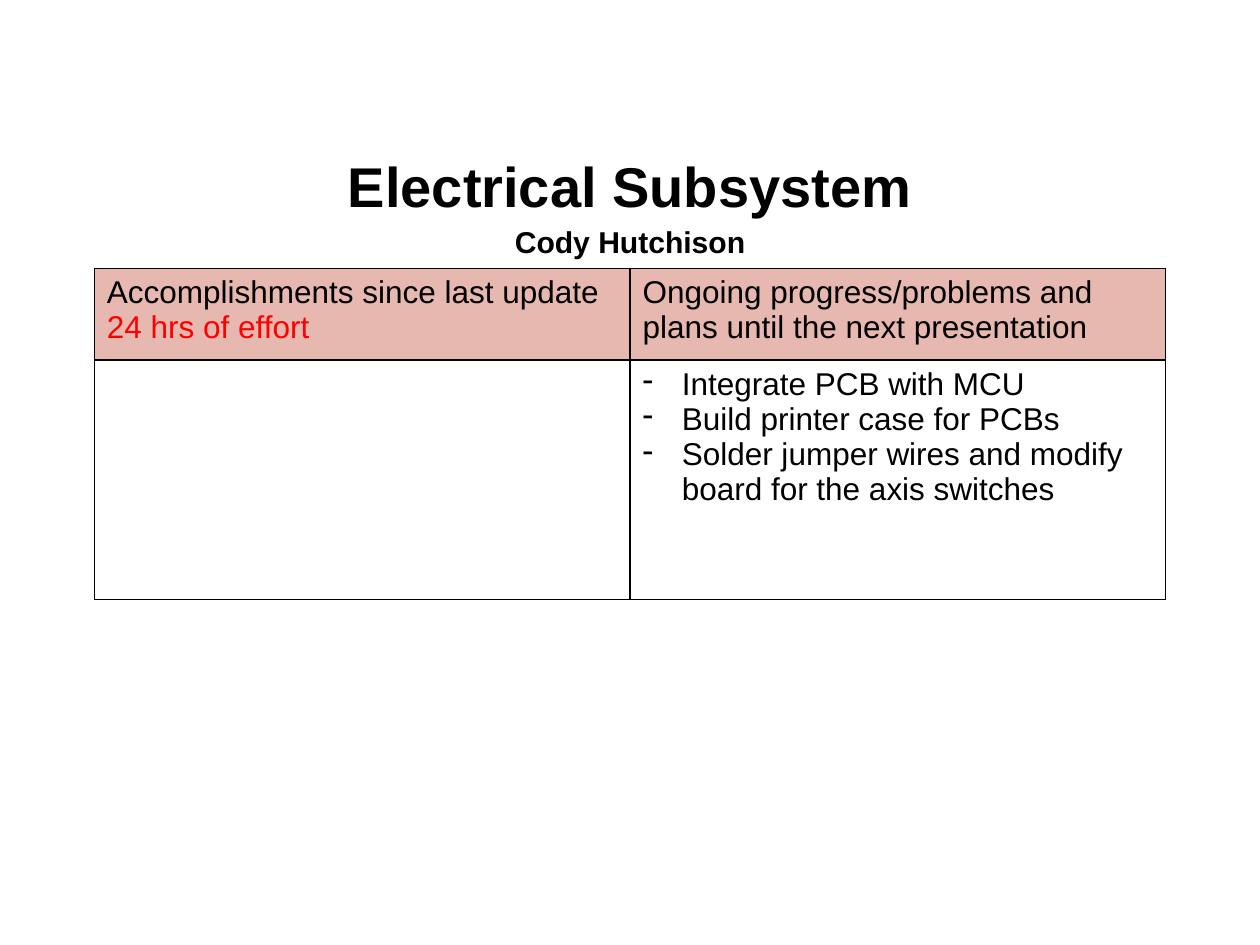
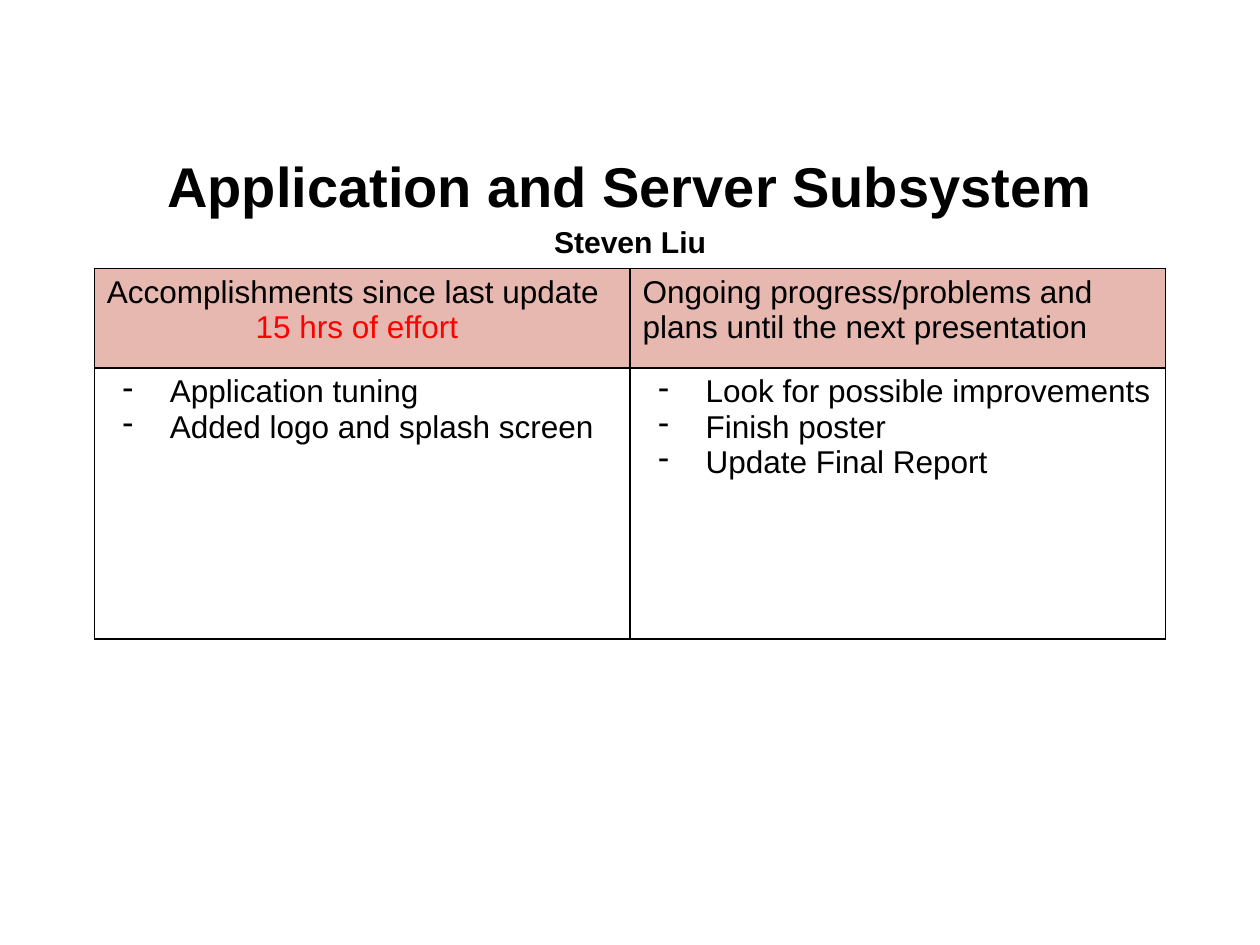
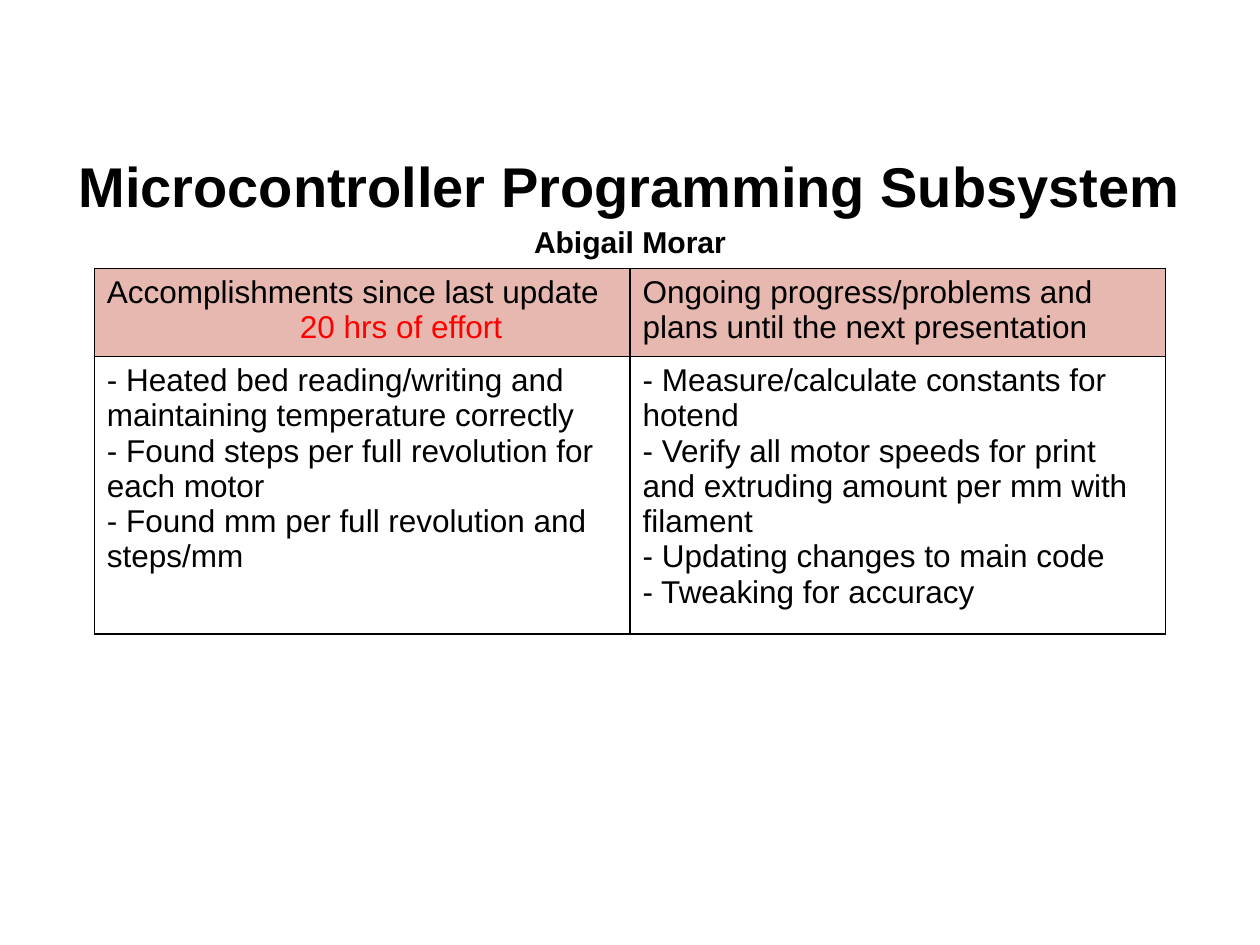
from lxml.etree import SubElement
from pptx import Presentation
from pptx.dml.color import RGBColor
from pptx.enum.text import MSO_ANCHOR as Anchor, PP_ALIGN as Align
from pptx.oxml import parse_xml
from pptx.oxml.ns import nsdecls, qn
from pptx.util import Cm, Pt

COLORS = {"text": "000000", "effort": "FF0000", "header": "E6B8AF",
          "border": "000000", "page": "FFFFFF"}
FONT = "Arial"
BODY_SIZE = 18
COLUMN_WIDTH = 10.8
BLANK = 6


class Report:
    def __init__(self):
        self.deck = Presentation()
        self.deck.slide_width = Cm(25.4)
        self.deck.slide_height = Cm(19.05)
        self.page = None

    def add_page(self):
        self.page = self.deck.slides.add_slide(self.deck.slide_layouts[BLANK])
        fill = self.page.background.fill
        fill.solid()
        fill.fore_color.rgb = RGBColor.from_string(COLORS["page"])

    def add_span(self, para, text, size=BODY_SIZE, color="text", bold=False):
        span = para.add_run()
        span.text = text
        span.font.name = FONT
        span.font.size = Pt(size)
        span.font.bold = bold
        span.font.color.rgb = RGBColor.from_string(COLORS[color])

    def next_para(self, frame, index):
        return frame.add_paragraph() if index else frame.paragraphs[0]

    def add_title(self, subsystem, member):
        box = self.page.shapes.add_textbox(Cm(1.27), Cm(2.92), Cm(22.86), Cm(2.24))
        frame = box.text_frame
        frame.word_wrap = True
        frame.vertical_anchor = Anchor.MIDDLE
        for index, (text, size) in enumerate([(subsystem, 32), (member, 17.2)]):
            para = self.next_para(frame, index)
            para.alignment = Align.CENTER
            para.line_spacing = 1.15
            self.add_span(para, text, size, bold=True)

    def indent(self, para, left, hanging=0):
        properties = para._p.get_or_add_pPr()
        properties.set("marL", str(Cm(left)))
        properties.set("indent", str(-Cm(hanging)))
        return properties

    def style_cell(self, cell, color=None):
        properties = cell._tc.get_or_add_tcPr()
        for side in "LRTB":
            properties.append(parse_xml(
                f'<a:ln{side} {nsdecls("a")} w="{Pt(1)}"><a:solidFill>'
                f'<a:srgbClr val="{COLORS["border"]}"/></a:solidFill></a:ln{side}>'))
        if color:
            cell.fill.solid()
            cell.fill.fore_color.rgb = RGBColor.from_string(COLORS[color])
        else:
            cell.fill.background()

    def fill_list(self, cell, items, bullet):
        for index, text in enumerate(items):
            para = self.next_para(cell.text_frame, index)
            if bullet:
                properties = self.indent(para, *bullet)
                SubElement(properties, qn("a:buChar")).set("char", "-")
            self.add_span(para, text)

    def add_status_table(self, heights, effort, effort_indent, done, planned, bullet):
        table = self.page.shapes.add_table(
            2, 2, Cm(1.9), Cm(5.41), Cm(2 * COLUMN_WIDTH), Cm(sum(heights))).table
        table.first_row = False
        table.horz_banding = False
        for column in table.columns:
            column.width = Cm(COLUMN_WIDTH)
        for row, height, color in zip(table.rows, heights, ("header", None)):
            row.height = Cm(height)
            for cell in row.cells:
                self.style_cell(cell, color)
        frame = table.cell(0, 0).text_frame
        self.add_span(frame.paragraphs[0], "Accomplishments since last update")
        para = frame.add_paragraph()
        self.indent(para, effort_indent)
        self.add_span(para, effort, color="effort")
        self.add_span(table.cell(0, 1).text_frame.paragraphs[0],
                      "Ongoing progress/problems and plans until the next presentation")
        self.fill_list(table.cell(1, 0), done, bullet)
        self.fill_list(table.cell(1, 1), planned, bullet)


report = Report()

report.add_page()
report.add_title("Electrical Subsystem", "Cody Hutchison")
report.add_status_table(
    (1.85, 4.83), "24 hrs of effort", 0,
    [],
    ["Integrate PCB with MCU",
     "Build printer case for PCBs",
     "Solder jumper wires and modify board for the axis switches"],
    bullet=(0.79, 0.79))

report.add_page()
report.add_title("Application and Server Subsystem", "Steven Liu")
report.add_status_table(
    (2.01, 5.46), "15 hrs of effort", 3,
    ["Application tuning",
     "Added logo and splash screen"],
    ["Look for possible improvements",
     "Finish poster",
     "Update Final Report"],
    bullet=(1.27, 0.95))

report.add_page()
report.add_title("Microcontroller Programming Subsystem", "Abigail Morar")
report.add_status_table(
    (1.78, 4.83), "20 hrs of effort", 3.89,
    ["- Heated bed reading/writing and maintaining temperature correctly",
     "- Found steps per full revolution for each motor",
     "- Found mm per full revolution and steps/mm"],
    ["- Measure/calculate constants for hotend",
     "- Verify all motor speeds for print and extruding amount per mm with filament",
     "- Updating changes to main code",
     "- Tweaking for accuracy"],
    bullet=None)

report.deck.save("out.pptx")
